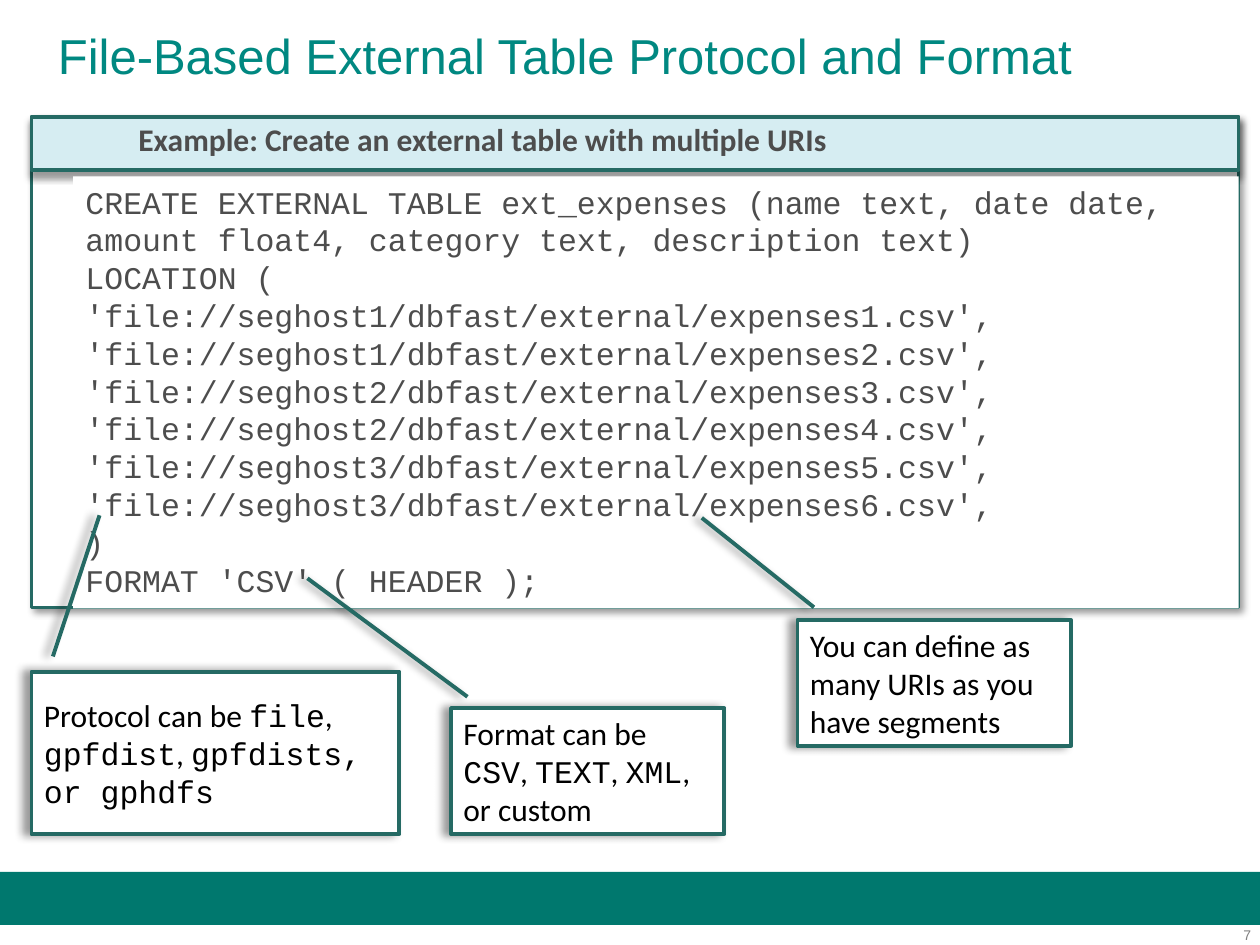
from dataclasses import dataclass

from lxml.etree import SubElement
from pptx import Presentation
from pptx.dml.color import RGBColor
from pptx.enum.shapes import MSO_CONNECTOR, MSO_SHAPE
from pptx.enum.text import MSO_ANCHOR, PP_ALIGN
from pptx.oxml.ns import qn
from pptx.util import Inches, Pt


@dataclass(frozen=True)
class Theme:
    white: str = "FFFFFF"
    black: str = "000000"
    band: str = "00786E"
    title: str = "008881"
    outline: str = "256A64"
    header: str = "D6EDF2"
    body: str = "4D4D4D"
    number: str = "7F7F7F"
    title_size: float = 28
    body_size: float = 18
    number_size: float = 8
    line_pitch: float = 21.6
    sans: str = "Arial"
    text: str = "Calibri"
    code: str = "Courier New"


THEME = Theme()

CODE_LINES = [
    "CREATE EXTERNAL TABLE ext_expenses (name text, date date, "
    "amount float4, category text, description text)",
    "LOCATION (",
    *[f"'file://seghost{(number + 1) // 2}/dbfast/external/expenses{number}.csv',"
      for number in range(1, 7)],
    ")",
    "FORMAT 'CSV' ( HEADER );",
]

CALLOUTS = [
    ((0.25, 5.33, 2.92, 1.29), ((0.42, 5.21), (0.79, 4.09)), [
        ("Protocol can be ", THEME.text), ("file", THEME.code), (", ", THEME.text),
        ("gpfdist", THEME.code), (", ", THEME.text),
        ("gpfdists, or gphdfs", THEME.code)]),
    ((3.58, 5.62, 2.17, 1), ((3.71, 5.53), (2.44, 4.59)), [
        ("Format can be\n", THEME.text), ("CSV", THEME.code), (", ", THEME.text),
        ("TEXT", THEME.code), (", ", THEME.text), ("XML", THEME.code),
        (",\nor custom", THEME.text)]),
    ((6.33, 4.92, 2.17, 1), ((6.46, 4.82), (5.57, 4.11)), [
        ("You can define as\nmany URIs as you\nhave segments", THEME.text)]),
]


def write_text(shape, paragraphs, *, size, color, bold=False, align=PP_ALIGN.LEFT,
               anchor=MSO_ANCHOR.TOP, pitch=None, margins=(0.1, 0.05)):
    frame = shape.text_frame
    frame.word_wrap = True
    frame.vertical_anchor = anchor
    frame.margin_left = frame.margin_right = Inches(margins[0])
    frame.margin_top = frame.margin_bottom = Inches(margins[1])
    for index, pieces in enumerate(paragraphs):
        paragraph = frame.paragraphs[0] if index == 0 else frame.add_paragraph()
        paragraph.alignment = align
        if pitch:
            paragraph.line_spacing = Pt(pitch)
        for text, font_name in pieces:
            for position, line in enumerate(text.split("\n")):
                if position:
                    paragraph.add_line_break()
                if line:
                    run = paragraph.add_run()
                    run.text = line
                    run.font.name = font_name
                    run.font.size = Pt(size)
                    run.font.bold = bold
                    run.font.color.rgb = RGBColor.from_string(color)


def add_shadow(shape, blur, distance, angle):
    properties = shape._element.spPr
    effects = properties.find(qn("a:effectLst"))
    if effects is None:
        effects = SubElement(properties, qn("a:effectLst"))
    shadow = SubElement(effects, qn("a:outerShdw"), blurRad=str(Pt(blur)),
                        dist=str(Pt(distance)), dir=str(angle * 60000),
                        rotWithShape="0")
    color = SubElement(shadow, qn("a:srgbClr"), val=THEME.black)
    SubElement(color, qn("a:alpha"), val="40000")


def add_box(slide, box, fill, line_width=None, shadow=None):
    shape = slide.shapes.add_shape(MSO_SHAPE.RECTANGLE, *map(Inches, box))
    shape.shadow.inherit = False
    shape.fill.solid()
    shape.fill.fore_color.rgb = RGBColor.from_string(fill)
    if line_width:
        shape.line.width = Pt(line_width)
        shape.line.color.rgb = RGBColor.from_string(THEME.outline)
    else:
        shape.line.fill.background()
    if shadow:
        add_shadow(shape, *shadow)
    return shape


def add_title(slide, box, text):
    title = slide.shapes.title
    title.left, title.top, title.width, title.height = map(Inches, box)
    write_text(title, [[(text, THEME.sans)]], size=THEME.title_size, color=THEME.title)


def add_footer(slide, box, number):
    left, top, width, height = box
    add_box(slide, box, THEME.band)
    number_box = slide.shapes.add_textbox(
        Inches(left + width - 0.65), Inches(top + height + 0.01),
        Inches(0.58), Inches(0.13))
    write_text(number_box, [[(number, THEME.sans)]], size=THEME.number_size,
               color=THEME.number, align=PP_ALIGN.RIGHT, margins=(0, 0))


def add_code_panel(slide, box, heading, lines):
    left, top, width, height = box
    add_box(slide, box, THEME.white, 2, (4, 3, 45))
    add_box(slide, (left, top, width, 0.42), THEME.header, 2, (4, 3, 90))
    heading_box = slide.shapes.add_textbox(
        Inches(left + 0.75), Inches(top - 0.03), Inches(5.71), Inches(0.4))
    write_text(heading_box, [[(heading, THEME.text)]], size=THEME.body_size,
               color=THEME.body, bold=True)
    code_box = add_box(slide, (left + 0.33, top + 0.47, width - 0.33, height - 0.46),
                       THEME.white)
    write_text(code_box, [[(line, THEME.code)] for line in lines],
               size=THEME.body_size, color=THEME.body, pitch=THEME.line_pitch)


def add_callout(slide, box, pointer, pieces):
    shadow = (5, 4, 180)
    shape = add_box(slide, box, THEME.white, 2.25, shadow)
    write_text(shape, [pieces], size=THEME.body_size, color=THEME.black,
               anchor=MSO_ANCHOR.MIDDLE, pitch=THEME.line_pitch)
    start, end = pointer
    connector = slide.shapes.add_connector(
        MSO_CONNECTOR.STRAIGHT, *map(Inches, (*start, *end)))
    connector.line.width = Pt(2.25)
    connector.line.color.rgb = RGBColor.from_string(THEME.outline)
    add_shadow(connector, *shadow)


def main():
    presentation = Presentation()
    presentation.slide_width, presentation.slide_height = Inches(10), Inches(7.5)
    slide = presentation.slides.add_slide(presentation.slide_layouts[5])
    add_footer(slide, (0, 6.92, 10, 0.42), "7")
    add_title(slide, (0.36, 0.15, 9, 1.25),
              "File-Based External Table Protocol and Format")
    add_code_panel(slide, (0.25, 0.93, 9.58, 3.89),
                   "Example: Create an external table with multiple URIs", CODE_LINES)
    for box, pointer, pieces in CALLOUTS:
        add_callout(slide, box, pointer, pieces)
    presentation.save("out.pptx")


if __name__ == "__main__":
    main()
